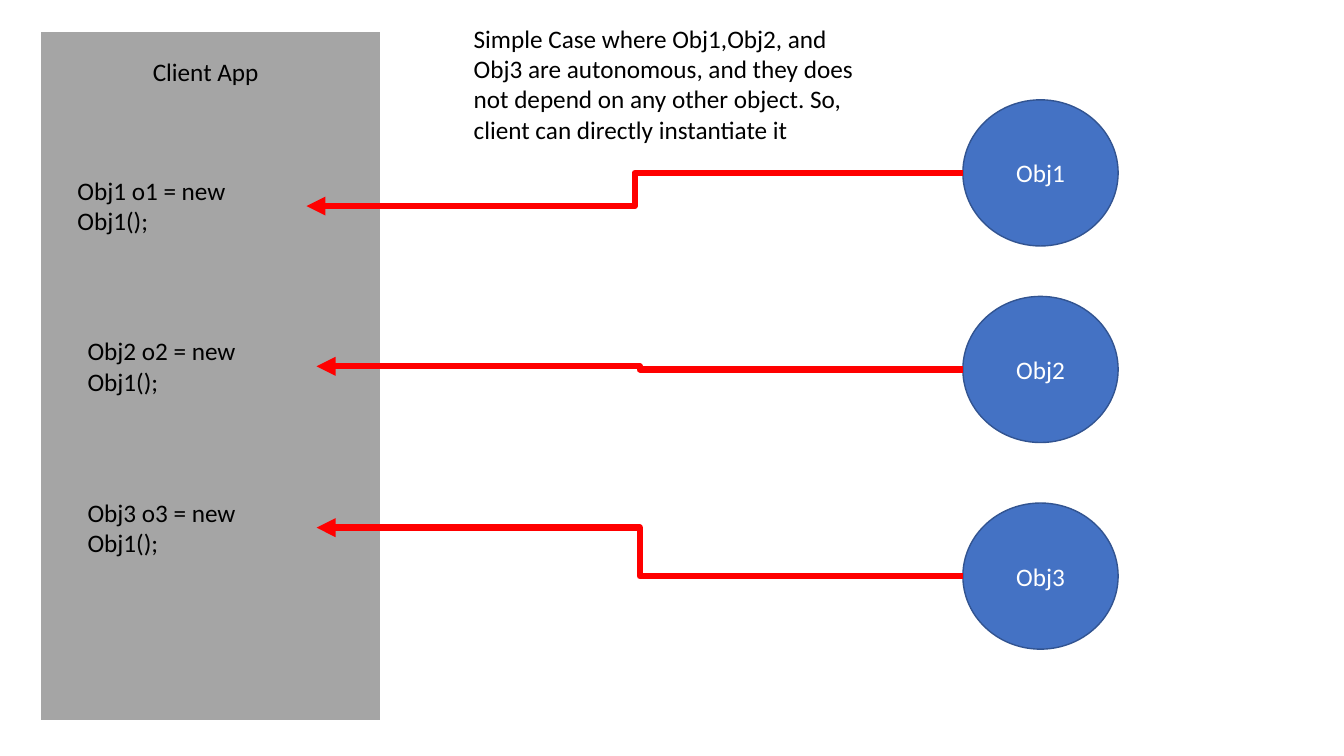
from pptx import Presentation
from pptx.dml.color import RGBColor
from pptx.enum.shapes import MSO_CONNECTOR, MSO_SHAPE
from pptx.enum.text import MSO_ANCHOR, PP_ALIGN
from pptx.util import Inches, Pt
from lxml import etree

ELBOW = MSO_CONNECTOR.ELBOW
OVAL, RECT = MSO_SHAPE.OVAL, MSO_SHAPE.RECTANGLE
LEFT, CENTER = PP_ALIGN.LEFT, PP_ALIGN.CENTER
TOP, MIDDLE = MSO_ANCHOR.TOP, MSO_ANCHOR.MIDDLE
NS = "{http://schemas.openxmlformats.org/drawingml/2006/main}"


def rgb(color):
    return RGBColor.from_string(color)


class Page:
    font = "Calibri"
    size = 18
    text_color = "000000"
    arrow_color = "FF0000"

    def __init__(self, slide):
        self.s = slide

    def set_text(self, sp, text, color, align, anchor):
        tf = sp.text_frame
        tf.word_wrap = True
        tf.vertical_anchor = anchor
        tf.text = text
        p = tf.paragraphs[0]
        p.alignment = align
        r = p.runs[0]
        r.font.name = self.font
        r.font.size = Pt(self.size)
        r.font.color.rgb = rgb(color)

    def shape(self, kind, x, y, w, h, fill, line, weight, text=""):
        sp = self.s.shapes.add_shape(kind, Inches(x), Inches(y), Inches(w), Inches(h))
        sp.shadow.inherit = False
        sp.fill.solid()
        sp.fill.fore_color.rgb = rgb(fill)
        sp.line.color.rgb = rgb(line)
        sp.line.width = Pt(weight)
        if text:
            self.set_text(sp, text, "FFFFFF", CENTER, MIDDLE)

    def text(self, x, y, w, h, text, align=LEFT):
        sp = self.s.shapes.add_textbox(Inches(x), Inches(y), Inches(w), Inches(h))
        self.set_text(sp, text, self.text_color, align, TOP)

    def arrow(self, x1, y1, x2, y2):
        sp = self.s.shapes.add_connector(ELBOW, Inches(x1), Inches(y1), Inches(x2), Inches(y2))
        sp.line.color.rgb = rgb(self.arrow_color)
        sp.line.width = Pt(4.5)
        spPr = sp._element.spPr
        etree.SubElement(spPr.find(NS + "ln"), NS + "tailEnd", type="triangle")
        etree.SubElement(spPr, NS + "effectLst")


prs = Presentation()
prs.slide_width, prs.slide_height = Inches(13.33), Inches(7.5)
page = Page(prs.slides.add_slide(prs.slide_layouts[6]))

page.shape(RECT, 0.4, 0.31, 3.38, 6.84, "A5A5A5", "FFFFFF", 1.5)
page.text(0.47, 0.51, 3.14, 0.4, "Client App", CENTER)
page.text(4.6, 0.18, 4.06, 1.31,
          "Simple Case where Obj1,Obj2, and Obj3 are autonomous, and they does "
          "not depend on any other object. So, client can directly instantiate it ")

OBJ_X, OBJ_W, OBJ_H = 9.55, 1.54, 1.45
CODE_W, CODE_H = 2.37, 0.71
objects = [(0.99, 0.67, 1.69), (2.94, 0.77, 3.28), (4.99, 0.77, 4.88)]

for n, (obj_y, code_x, code_y) in enumerate(objects, 1):
    page.shape(OVAL, OBJ_X, obj_y, OBJ_W, OBJ_H, "4472C4", "325491", 1, f"Obj{n}")
    page.text(code_x, code_y, CODE_W, CODE_H, f"Obj{n} o{n} = new Obj1();")
    page.arrow(OBJ_X, obj_y + OBJ_H / 2, code_x + CODE_W, code_y + CODE_H / 2)

prs.save("out.pptx")
